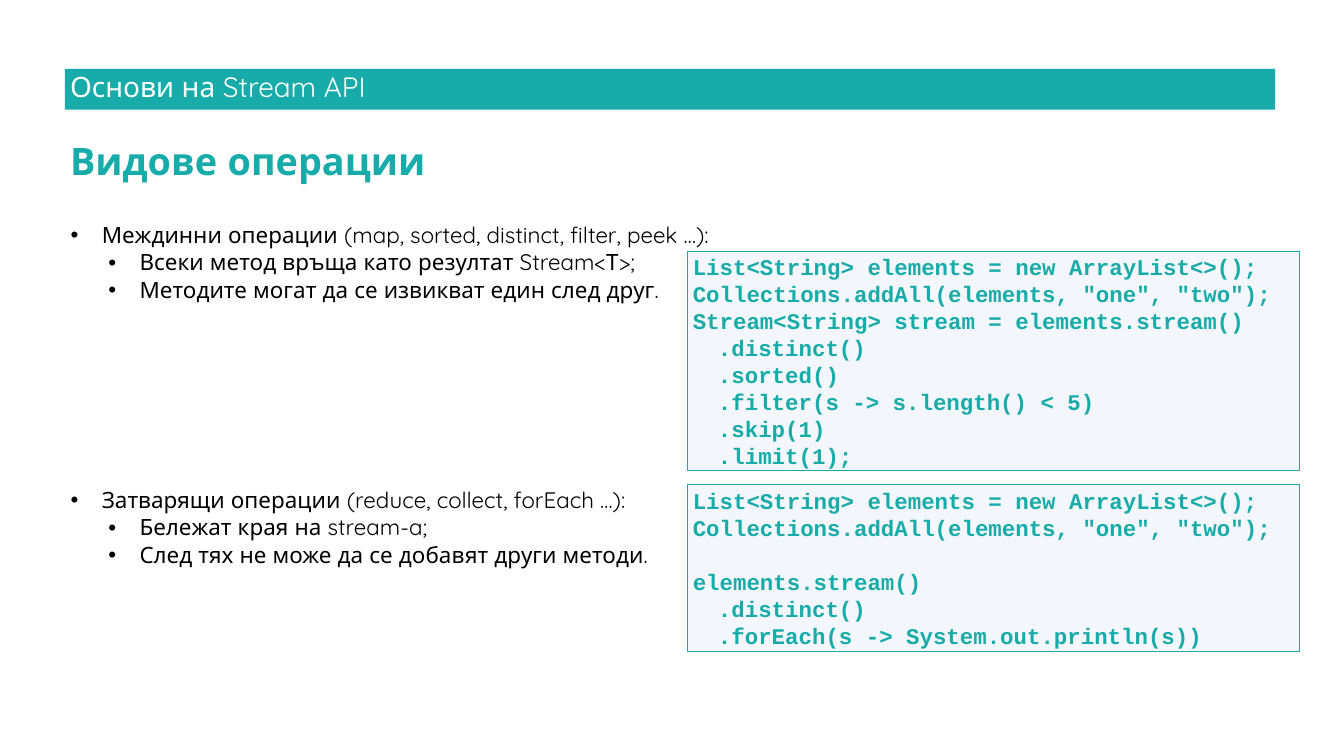
from lxml import etree
from pptx import Presentation
from pptx.dml.color import RGBColor
from pptx.enum.shapes import MSO_SHAPE
from pptx.enum.text import MSO_ANCHOR, MSO_AUTO_SIZE, PP_ALIGN
from pptx.oxml.ns import qn
from pptx.util import Inches, Pt

TEAL, WHITE, BLACK, PALE_BLUE = "17ACA9", "FFFFFF", "000000", "B4C7E7"
LEFT, CODE_LEFT, CODE_WIDTH = 4.84, 51.18, 45.52  # percent of slide width


def rgb(value):
    return RGBColor.from_string(value)


class SlideBuilder:
    body_font = "Quicksand"
    code_font = "Courier New"
    body_size = 32

    def __init__(self, presentation):
        self.width = presentation.slide_width
        self.height = presentation.slide_height
        self.slide = presentation.slides.add_slide(presentation.slide_layouts[5])

    def place(self, left, top, width, height):
        """Turn percentages of the slide into lengths."""
        return (int(self.width * left / 100), int(self.height * top / 100),
                int(self.width * width / 100), int(self.height * height / 100))

    def style(self, paragraph, font, size, color, bold=False):
        paragraph.alignment = PP_ALIGN.LEFT
        paragraph.font.name = font
        paragraph.font.size = Pt(size)
        paragraph.font.bold = bold
        paragraph.font.color.rgb = rgb(color)

    def rectangle(self, area, fill):
        shape = self.slide.shapes.add_shape(MSO_SHAPE.RECTANGLE, *self.place(*area))
        shape.shadow.inherit = False
        shape.fill.solid()
        shape.fill.fore_color.rgb = rgb(fill)
        shape.line.fill.background()
        return shape

    def text_box(self, area):
        frame = self.slide.shapes.add_textbox(*self.place(*area)).text_frame
        frame.word_wrap = True
        return frame

    def title(self, text, area):
        title = self.slide.shapes.title
        title.left, title.top, title.width, title.height = self.place(*area)
        frame = title.text_frame
        frame.text = text
        frame.auto_size = MSO_AUTO_SIZE.NONE
        frame.vertical_anchor = MSO_ANCHOR.MIDDLE
        frame.paragraphs[0].line_spacing = 0.9
        self.style(frame.paragraphs[0], self.body_font, 40, WHITE)

    def heading(self, text, area):
        paragraph = self.text_box(area).paragraphs[0]
        paragraph.text = text
        paragraph.line_spacing = 0.9
        self.style(paragraph, self.body_font, 54, TEAL, bold=True)

    def bullets(self, topic, details, area):
        frame = self.text_box(area)
        for index, text in enumerate([topic, *details]):
            paragraph = frame.add_paragraph() if index else frame.paragraphs[0]
            paragraph.text = text
            paragraph.level = 1 if index else 0
            properties = paragraph._p.get_or_add_pPr()
            properties.set("marL", str(Inches(1.38 if index else 0.63)))
            properties.set("indent", str(Inches(-0.62)))
            etree.SubElement(properties, qn("a:buFont"), typeface="Arial")
            etree.SubElement(properties, qn("a:buChar"), char="•")
            paragraph.line_spacing = 0.9
            paragraph.space_before = Pt(5 if index else 0)
            self.style(paragraph, self.body_font, self.body_size, BLACK)

    def code(self, source, area):
        box = self.rectangle(area, PALE_BLUE)
        color = box.fill._xPr.find(qn("a:solidFill"))[0]
        etree.SubElement(color, qn("a:alpha"), val="15000")
        box.line.color.rgb = rgb(TEAL)
        box.line.width = Pt(1)
        frame = box.text_frame
        frame.word_wrap = True
        frame.auto_size = MSO_AUTO_SIZE.SHAPE_TO_FIT_TEXT
        frame.vertical_anchor = MSO_ANCHOR.TOP
        frame.text = source
        for line in frame.paragraphs:
            self.style(line, self.code_font, self.body_size, TEAL, bold=True)


INTERMEDIATE_CODE = """List<String> elements = new ArrayList<>();
Collections.addAll(elements, "one", "two");
Stream<String> stream = elements.stream()
\t.distinct()
\t.sorted()
\t.filter(s -> s.length() < 5)
\t.skip(1)
\t.limit(1);"""

TERMINAL_CODE = """List<String> elements = new ArrayList<>();
Collections.addAll(elements, "one", "two");

elements.stream()
\t.distinct()
\t.forEach(s -> System.out.println(s))"""


def main():
    presentation = Presentation()
    presentation.slide_width = Inches(26.67)
    presentation.slide_height = Inches(15)
    builder = SlideBuilder(presentation)

    # Title bar, sent behind the title
    bar = builder.rectangle((4.82, 9.1, 90.06, 5.4), TEAL)
    builder.slide.shapes.title._element.addprevious(bar._element)
    builder.title("Основи на Stream API", (LEFT, 9.07, 90.06, 5.27))
    builder.heading("Видове операции", (LEFT, 18.53, 89.91, 6.27))

    # Intermediate operations
    builder.bullets(
        "Междинни операции (map, sorted, distinct, filter, peek …):",
        ["Всеки метод връща като резултат Stream<Т>;",
         "Методите могат да се извикват един след друг."],
        (LEFT, 29.27, 83.84, 16.07))
    builder.code(INTERMEDIATE_CODE, (CODE_LEFT, 33.2, CODE_WIDTH, 29.07))

    # Terminal operations
    builder.bullets(
        "Затварящи операции (reduce, collect, forEach …):",
        ["Бележат края на stream-a;",
         "След тях не може да се добавят други методи."],
        (LEFT, 64.33, 83.84, 16.07))
    builder.code(TERMINAL_CODE, (CODE_LEFT, 64.13, CODE_WIDTH, 22))

    presentation.save("out.pptx")


if __name__ == "__main__":
    main()
